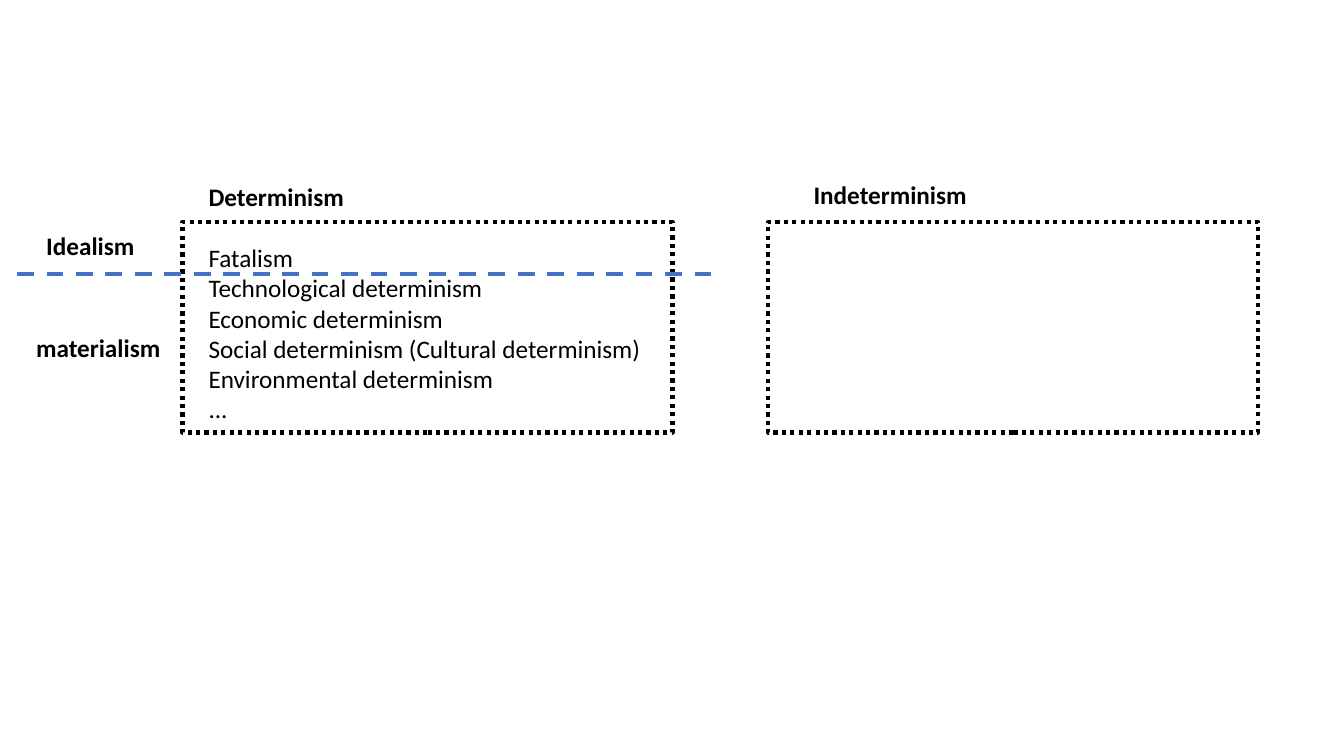
from lxml import etree
from pptx import Presentation
from pptx import util as u
from pptx.dml.color import RGBColor
from pptx.enum import dml, shapes, text
from pptx.oxml.ns import qn

BLACK, BLUE = "000000", "4472C4"
FRAME_W, FRAME_H, FRAME_TOP = 4.86, 2.09, 2.2
DETERMINISM_KINDS = [
    "Fatalism",
    "Technological determinism",
    "Economic determinism",
    "Social determinism (Cultural determinism)",
    "Environmental determinism",
    "...",
]


def colour(hex_string):
    return RGBColor.from_string(hex_string)


def style_line(line, hex_string, dash):
    line.color.rgb = colour(hex_string)
    line.width = u.Pt(3)
    line.dash_style = dash


def add_label(slide, left, top, width, height, heading, items=()):
    """Bold heading, with any items listed one line below it."""
    box = slide.shapes.add_textbox(*map(u.Inches, (left, top, width, height)))
    frame = box.text_frame
    frame.word_wrap = True
    frame.auto_size = text.MSO_AUTO_SIZE.SHAPE_TO_FIT_TEXT
    for index, wording in enumerate([heading, *items]):
        paragraph = frame.add_paragraph() if index else frame.paragraphs[0]
        if index == 1:
            paragraph.space_before = u.Pt(22)
        run = paragraph.add_run()
        run.text = wording
        run.font.name = "Calibri"
        run.font.size = u.Pt(18)
        run.font.bold = index == 0
        run.font.color.rgb = colour(BLACK)


def add_dotted_frame(slide, left, top):
    frame = slide.shapes.add_shape(
        shapes.MSO_SHAPE.RECTANGLE,
        *map(u.Inches, (left, top, FRAME_W, FRAME_H)))
    frame.shadow.inherit = False
    frame.fill.background()
    style_line(frame.line, BLACK, dml.MSO_LINE.ROUND_DOT)


def add_determinism(slide, left, top):
    add_label(slide, left + 0.16, top - 0.45, FRAME_W, 2.52,
              "Determinism", DETERMINISM_KINDS)
    add_dotted_frame(slide, left, top)


def add_indeterminism(slide, left, top):
    add_label(slide, left + 0.35, top - 0.47, 2.78, 0.4, "Indeterminism")
    add_dotted_frame(slide, left, top)


def add_worldviews(slide, left, divider_y, width):
    """Idealism above and materialism below a dashed divider."""
    add_label(slide, left + 0.19, divider_y - 0.48, 1.21, 0.4, "Idealism")
    add_label(slide, left + 0.09, divider_y + 0.53, 1.54, 0.4, "materialism")
    divider = slide.shapes.add_connector(
        shapes.MSO_CONNECTOR.STRAIGHT,
        *map(u.Inches, (left, divider_y, left + width, divider_y)))
    style_line(divider.line, BLUE, dml.MSO_LINE.DASH)
    etree.SubElement(divider._element.spPr, qn("a:effectLst"))


def main():
    deck = Presentation()
    deck.slide_width, deck.slide_height = u.Inches(13.33), u.Inches(7.5)
    slide = deck.slides.add_slide(deck.slide_layouts[6])
    add_determinism(slide, 1.81, FRAME_TOP)
    add_indeterminism(slide, 7.62, FRAME_TOP)
    add_worldviews(slide, 0.17, 2.72, 6.92)
    deck.save("out.pptx")


if __name__ == "__main__":
    main()
